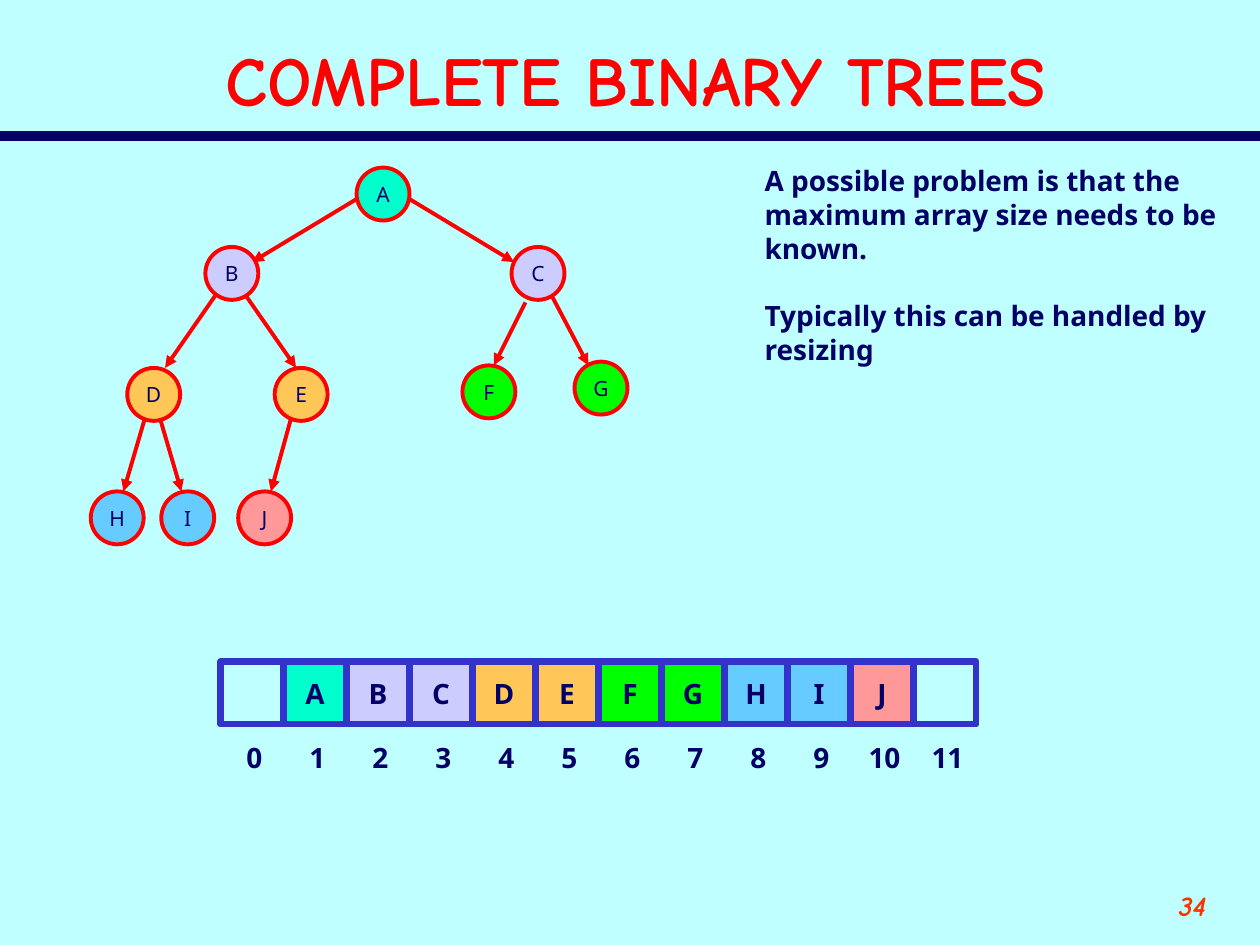
from lxml import etree
from pptx import Presentation
from pptx.dml.color import RGBColor
from pptx.enum import shapes, text
from pptx.oxml.ns import qn
from pptx.util import Inches, Pt

SKY = RGBColor(0xBF, 0xFF, 0xFF)
NAVY = RGBColor(0x00, 0x00, 0x66)
RED = RGBColor(0xFF, 0x00, 0x00)
ORANGE_RED = RGBColor(0xFF, 0x33, 0x00)
INDIGO = RGBColor(0x33, 0x33, 0xCC)
TEAL = RGBColor(0x00, 0xFF, 0xCC)
LILAC = RGBColor(0xCC, 0xCC, 0xFF)
AMBER = RGBColor(0xFF, 0xC7, 0x57)
GREEN = RGBColor(0x00, 0xFF, 0x00)
BLUE = RGBColor(0x66, 0xCC, 0xFF)
PINK = RGBColor(0xFF, 0x99, 0x99)

HEAD_FONT, BODY_FONT = "Comic Neue", "Noto Sans"
LEFT, CENTER, RIGHT = text.PP_ALIGN.LEFT, text.PP_ALIGN.CENTER, text.PP_ALIGN.RIGHT
TOP, MIDDLE = text.MSO_ANCHOR.TOP, text.MSO_ANCHOR.MIDDLE

KEY_COLORS = {"A": TEAL, "B": LILAC, "C": LILAC, "D": AMBER, "E": AMBER,
              "F": GREEN, "G": GREEN, "H": BLUE, "I": BLUE, "J": PINK}

# Node corners and edge ends, in inches from the corner of the tree
NODE_SIZE = 0.42
NODES = {"A": (2.11, 0), "B": (0.91, 0.63), "C": (3.34, 0.63),
         "D": (0.29, 1.59), "E": (1.46, 1.59), "F": (2.95, 1.57),
         "G": (3.84, 1.54), "H": (0, 2.57), "I": (0.56, 2.57), "J": (1.17, 2.57)}
EDGES = [((2.11, 0.25), (1.28, 0.75)), ((2.53, 0.25), (3.36, 0.75)),
         ((1, 1), (0.59, 1.59)), ((1.22, 1), (1.63, 1.59)),
         ((3.45, 1.07), (3.2, 1.57)), ((3.65, 1), (3.95, 1.57)),
         ((0.43, 1.99), (0.26, 2.57)), ((0.55, 1.99), (0.72, 2.57)),
         ((1.59, 1.99), (1.43, 2.57))]


def write(tf, paragraphs, align=LEFT, anchor=TOP, wrap=True, **font):
    """Fill a text frame; font holds name, size, bold, italic and color."""
    tf.word_wrap = wrap
    tf.vertical_anchor = anchor
    color = font.pop("color", NAVY)
    for i, words in enumerate(paragraphs):
        p = tf.paragraphs[0] if i == 0 else tf.add_paragraph()
        p.alignment = align
        r = p.add_run()
        r.text = words
        for key, value in font.items():
            setattr(r.font, key, value)
        r.font.color.rgb = color


def add_line(slide, start, end, color, width, arrow=False):
    sp = slide.shapes.add_connector(shapes.MSO_CONNECTOR.STRAIGHT, *start, *end)
    sp.line.color.rgb = color
    sp.line.width = Pt(width)
    spPr = sp._element.spPr
    if arrow:
        etree.SubElement(spPr.find(qn("a:ln")), qn("a:tailEnd"), type="triangle")
    etree.SubElement(spPr, qn("a:effectLst"))


def add_box(slide, kind, x, y, size, fill, color, width):
    sp = slide.shapes.add_shape(kind, x, y, size, size)
    sp.shadow.inherit = False
    if fill is None:
        sp.fill.background()
    else:
        sp.fill.solid()
        sp.fill.fore_color.rgb = fill
    sp.line.color.rgb = color
    sp.line.width = Pt(width)
    return sp


def add_text(slide, x, y, w, h, paragraphs, **style):
    tf = slide.shapes.add_textbox(x, y, w, h).text_frame
    write(tf, paragraphs, **style)
    return tf


def add_header(slide, x, y, w, h, words):
    title = slide.shapes.title
    title.left, title.top, title.width, title.height = x, y, w, h
    write(title.text_frame, [words], align=CENTER, anchor=MIDDLE,
          name=HEAD_FONT, size=Pt(40), bold=True, color=RED)
    rule_y = y + Inches(0.83)
    add_line(slide, (0, rule_y), (Inches(10), rule_y), NAVY, 6)


def add_tree(slide, x, y):
    for ends in EDGES:
        start, end = [(x + Inches(dx), y + Inches(dy)) for dx, dy in ends]
        add_line(slide, start, end, RED, 2.25, arrow=True)
    for key, (dx, dy) in NODES.items():
        sp = add_box(slide, shapes.MSO_SHAPE.OVAL, x + Inches(dx), y + Inches(dy),
                     Inches(NODE_SIZE), KEY_COLORS[key], RED, 2.25)
        write(sp.text_frame, [key], align=CENTER, anchor=MIDDLE, wrap=False,
              name=BODY_FONT, size=Pt(12))


def add_array(slide, x, y, cell, keys):
    """Draw a row of cells, one per key, with the index under each."""
    style = dict(align=CENTER, wrap=False, name=BODY_FONT, size=Pt(16), bold=True)
    for i, key in enumerate(keys):
        left = x + i * cell
        sp = add_box(slide, shapes.MSO_SHAPE.RECTANGLE, left, y, cell,
                     KEY_COLORS.get(key), INDIGO, 3.5)
        if key:
            write(sp.text_frame, [key], anchor=MIDDLE, **style)
        add_text(slide, left + Inches(0.02), y + Inches(0.58), cell, Inches(0.37),
                 [str(i)], **style)


def add_remarks(slide, x, y, w, h, remarks):
    tf = add_text(slide, x, y, w, h, remarks, name=BODY_FONT, size=Pt(16), bold=True)
    for i, p in enumerate(tf.paragraphs):
        p.line_spacing = Pt(19.25)
        p.space_before = Pt(19.25 if i else 0)


def main():
    prs = Presentation()
    prs.slide_width, prs.slide_height = Inches(10), Inches(7.5)
    slide = prs.slides.add_slide(prs.slide_layouts[5])
    slide.background.fill.solid()
    slide.background.fill.fore_color.rgb = SKY

    add_header(slide, Inches(0.42), Inches(0.25), Inches(9.25), Inches(0.75),
               "COMPLETE BINARY TREES")
    add_tree(slide, Inches(0.72), Inches(1.33))
    add_array(slide, Inches(1.75), Inches(5.25), Inches(0.5), ["", *KEY_COLORS, ""])
    add_remarks(slide, Inches(5.97), Inches(1.25), Inches(3.85), Inches(1.7),
                ["A possible problem is that the maximum array size needs to be known.",
                 "Typically this can be handled by resizing"])
    add_text(slide, Inches(8.67), Inches(7), Inches(1), Inches(0.5), ["34"],
             align=RIGHT, name=HEAD_FONT, size=Pt(16), bold=True, italic=True,
             color=ORANGE_RED)
    prs.save("out.pptx")


if __name__ == "__main__":
    main()
